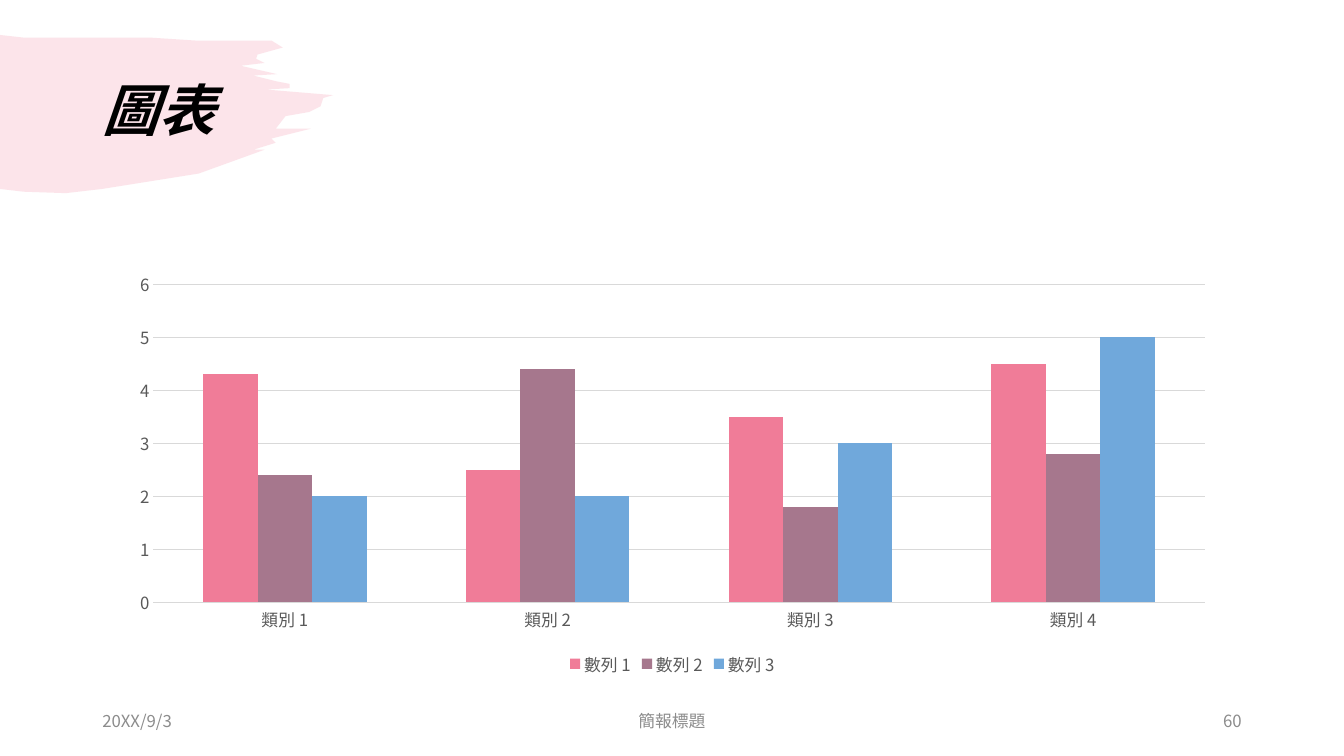
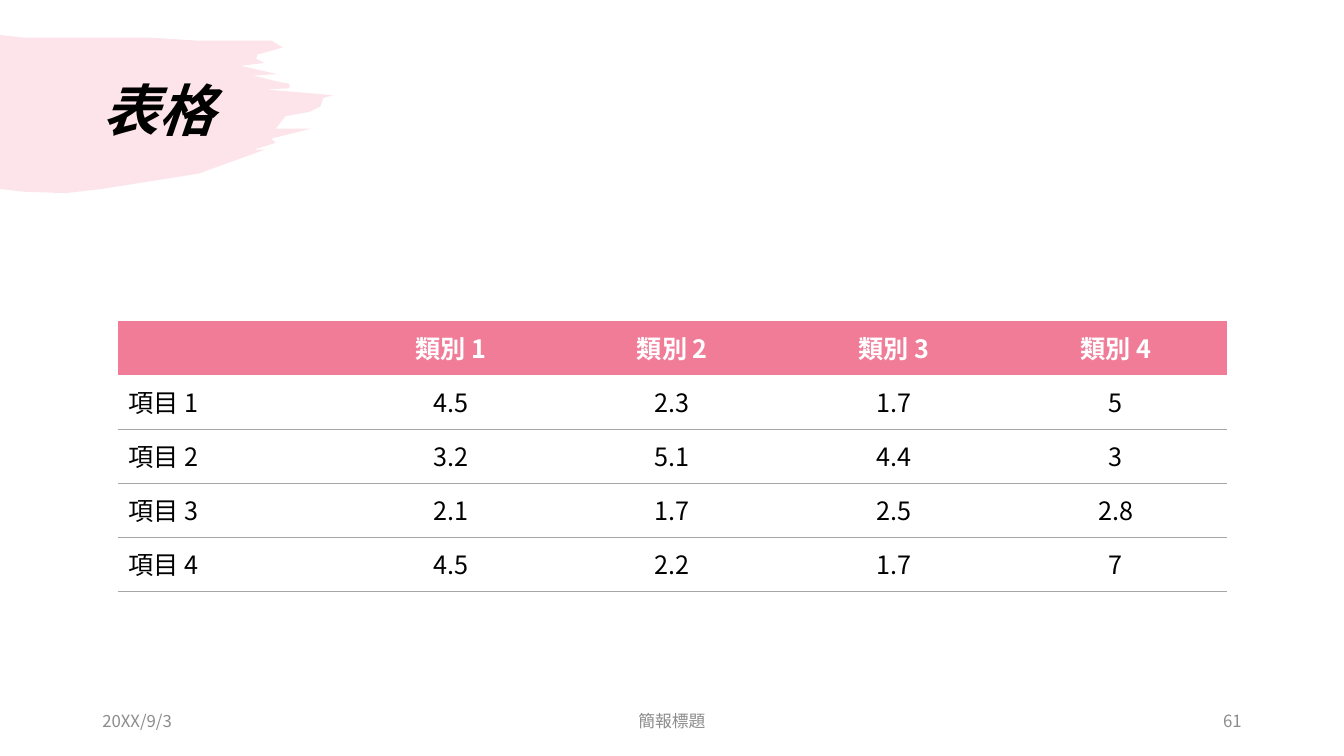
from dataclasses import dataclass

from lxml.etree import SubElement
from pptx import Presentation
from pptx.chart.data import CategoryChartData
from pptx.dml.color import RGBColor
from pptx.enum.chart import XL_CHART_TYPE, XL_LEGEND_POSITION, XL_TICK_MARK
from pptx.enum.text import MSO_ANCHOR, MSO_AUTO_SIZE, PP_ALIGN
from pptx.oxml import parse_xml
from pptx.oxml.ns import nsdecls, qn
from pptx.util import Pt

FONT = "Noto Sans CJK TC"
COLORS = {
    "pink": "F07C98", "mauve": "A6778D", "blue": "70A8DB",
    "black": "000000", "white": "FFFFFF", "axis": "595959",
    "grid": "D9D9D9", "rule": "A6A6A6", "footer": "8C8C8C",
}
NO_STYLE_TABLE = "{2D5ABB26-0587-4C30-8999-92F81FD0307C}"
TITLE_ONLY = 5
MARGIN, FULL_WIDTH = 66, 828
CONTENT_LEFT, CONTENT_WIDTH = 84.24, 792

# Brush stroke outline in points, clockwise from the top left
BRUSH_OUTLINE = [
    (0, 25), (18, 27), (48, 27), (109, 27), (140, 29), (179, 29), (194, 29),
    (202, 34), (184, 39), (183, 42), (189, 45), (172, 47), (198, 53),
    (181, 54), (197, 58), (207, 60), (207, 63), (190, 64), (238, 68),
    (231, 70), (229, 76), (221, 80), (204, 83), (197, 92), (222, 92),
    (194, 99), (197, 102), (181, 107), (189, 107), (142, 124), (73, 135),
    (47, 138), (17, 137), (0, 135),
]


@dataclass
class Footer:
    text: str
    left: float
    width: float
    align: PP_ALIGN


@dataclass
class Series:
    name: str
    values: list[float]
    color: str


CATEGORIES = [f"類別 {number}" for number in range(1, 5)]
SERIES = [
    Series("數列 1", [4.3, 2.5, 3.5, 4.5], "pink"),
    Series("數列 2", [2.4, 4.4, 1.8, 2.8], "mauve"),
    Series("數列 3", [2, 2, 3, 5], "blue"),
]
TABLE_ROWS = [
    ["", *CATEGORIES],
    ["項目 1", "4.5", "2.3", "1.7", "5"],
    ["項目 2", "3.2", "5.1", "4.4", "3"],
    ["項目 3", "2.1", "1.7", "2.5", "2.8"],
    ["項目 4", "4.5", "2.2", "1.7", "7"],
]


def color(name: str) -> RGBColor:
    return RGBColor.from_string(COLORS[name])


def style_font(font, size: float, tone: str, bold=False, italic=False) -> None:
    font.name = FONT
    font.size = Pt(size)
    font.bold, font.italic = bold, italic
    font.color.rgb = color(tone)


def set_east_asian_font(element) -> None:
    """Give Chinese text the same typeface as the Latin text."""
    for latin in list(element.iter(qn("a:latin"))):
        latin.addnext(parse_xml(f'<a:ea {nsdecls("a")} typeface="{FONT}"/>'))


def write(frame, text: str, size: float, tone: str, align: PP_ALIGN, **emphasis):
    frame.text = text
    para = frame.paragraphs[0]
    para.alignment = align
    for span in para.runs:
        style_font(span.font, size, tone, **emphasis)
    return para


# Shared parts
def add_brush(page) -> None:
    start, *rest = [(Pt(x), Pt(y)) for x, y in BRUSH_OUTLINE]
    builder = page.shapes.build_freeform(*start)
    builder.add_line_segments(rest, close=True)
    brush = builder.convert_to_shape()
    brush.shadow.inherit = False
    brush.fill.solid()
    brush.fill.fore_color.rgb = color("pink")
    fill_color = next(brush.element.iter(qn("a:srgbClr")))
    SubElement(fill_color, qn("a:alpha"), val="20000")
    brush.line.fill.background()
    page.shapes.title.element.addprevious(brush.element)


def add_title(page, text: str) -> None:
    title = page.shapes.title
    title.left, title.top = Pt(MARGIN), Pt(28.8)
    title.width, title.height = Pt(FULL_WIDTH), Pt(104.4)
    frame = title.text_frame
    frame.auto_size = MSO_AUTO_SIZE.NONE
    frame.vertical_anchor = MSO_ANCHOR.MIDDLE
    para = write(frame, text, 40, "black", PP_ALIGN.LEFT, bold=True, italic=True)
    para.line_spacing = 0.9
    set_east_asian_font(title.element)


def add_footer(page, footer: Footer) -> None:
    box = page.shapes.add_textbox(Pt(footer.left), Pt(500.4), Pt(footer.width), Pt(28.8))
    box.text_frame.word_wrap = True
    box.text_frame.vertical_anchor = MSO_ANCHOR.MIDDLE
    write(box.text_frame, footer.text, 12, "footer", footer.align)
    set_east_asian_font(box.element)


def add_page(deck, title: str, number: int):
    page = deck.slides.add_slide(deck.slide_layouts[TITLE_ONLY])
    add_brush(page)
    add_title(page, title)
    for footer in (
        Footer("20XX/9/3", MARGIN, 216, PP_ALIGN.LEFT),
        Footer("簡報標題", 318, 324, PP_ALIGN.CENTER),
        Footer(str(number), 678, 216, PP_ALIGN.RIGHT),
    ):
        add_footer(page, footer)
    return page


# Chart slide
def add_column_chart(page) -> None:
    data = CategoryChartData()
    data.categories = CATEGORIES
    for series in SERIES:
        data.add_series(series.name, series.values)
    chart = page.shapes.add_chart(
        XL_CHART_TYPE.COLUMN_CLUSTERED,
        Pt(CONTENT_LEFT), Pt(188), Pt(CONTENT_WIDTH), Pt(298), data,
    ).chart
    chart.has_title = False
    chart.has_legend = True
    chart.legend.position = XL_LEGEND_POSITION.BOTTOM
    chart.legend.include_in_layout = False

    plot = chart.plots[0]
    plot.gap_width, plot.overlap, plot.vary_by_categories = 182, 0, False
    for bars, series in zip(plot.series, SERIES):
        bars.format.fill.solid()
        bars.format.fill.fore_color.rgb = color(series.color)

    category_axis, value_axis = chart.category_axis, chart.value_axis
    value_axis.has_major_gridlines = True
    value_axis.format.line.fill.background()
    for line in (category_axis.format.line, value_axis.major_gridlines.format.line):
        line.color.rgb = color("grid")
        line.width = Pt(0.75)
    for axis in (category_axis, value_axis):
        axis.major_tick_mark = XL_TICK_MARK.NONE
    for part in (chart, category_axis.tick_labels, value_axis.tick_labels, chart.legend):
        style_font(part.font, 12, "axis")
    set_east_asian_font(chart.element)


# Table slide
def add_bottom_rule(cell_properties) -> None:
    cell_properties.insert(0, parse_xml(
        f'<a:lnB {nsdecls("a")} w="{int(Pt(0.25))}"><a:solidFill>'
        f'<a:srgbClr val="{COLORS["rule"]}"/></a:solidFill></a:lnB>'
    ))


def add_data_table(page) -> None:
    row_height = 38.6
    row_count, column_count = len(TABLE_ROWS), len(TABLE_ROWS[0])
    holder = page.shapes.add_table(
        row_count, column_count,
        Pt(CONTENT_LEFT), Pt(229.2), Pt(CONTENT_WIDTH), Pt(row_height * row_count),
    )
    next(holder.element.iter(qn("a:tableStyleId"))).text = NO_STYLE_TABLE
    table = holder.table
    table.horz_banding = False
    for column in table.columns:
        column.width = Pt(CONTENT_WIDTH / column_count)
    for row_index, texts in enumerate(TABLE_ROWS):
        table.rows[row_index].height = Pt(row_height)
        header = row_index == 0
        for column_index, text in enumerate(texts):
            cell = table.cell(row_index, column_index)
            cell.vertical_anchor = MSO_ANCHOR.MIDDLE
            align = PP_ALIGN.CENTER if column_index else PP_ALIGN.LEFT
            write(cell.text_frame, text, 18, "white" if header else "black", align, bold=header)
            if header:
                cell.fill.solid()
                cell.fill.fore_color.rgb = color("pink")
            else:
                cell.fill.background()
    for cell_properties in list(holder.element.iter(qn("a:tcPr")))[column_count:]:
        add_bottom_rule(cell_properties)
    set_east_asian_font(holder.element)


def main() -> None:
    deck = Presentation()
    deck.slide_width, deck.slide_height = Pt(960), Pt(540)
    add_column_chart(add_page(deck, "圖表", 60))
    add_data_table(add_page(deck, "表格", 61))
    deck.save("out.pptx")


if __name__ == "__main__":
    main()
